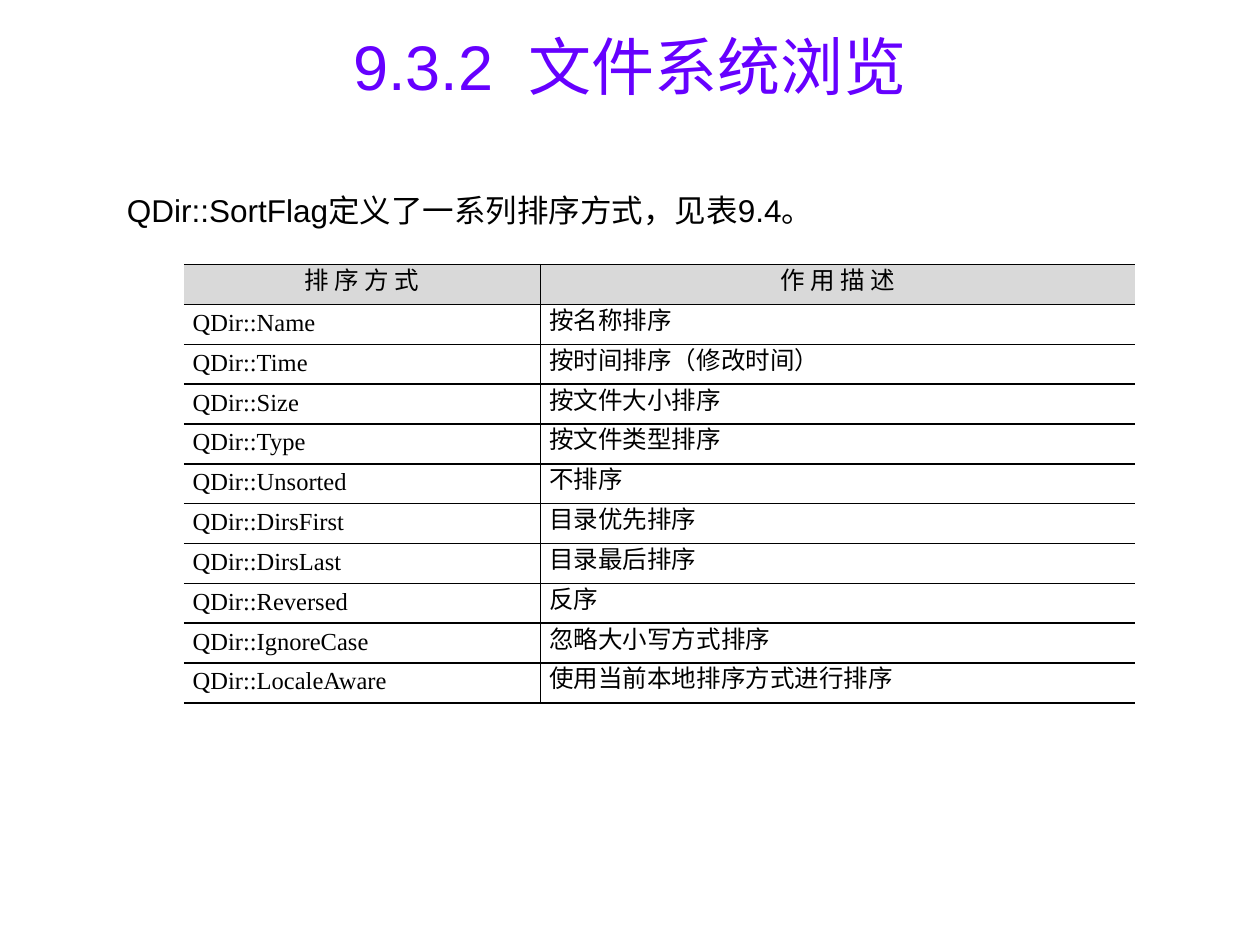
from dataclasses import dataclass

from lxml.etree import SubElement
from pptx import Presentation
from pptx.dml.color import RGBColor
from pptx.enum.text import MSO_ANCHOR, PP_ALIGN
from pptx.oxml.ns import qn
from pptx.util import Inches, Pt


@dataclass(frozen=True)
class Theme:
    """Colours, fonts and type sizes of the slide."""
    title: str = "6600FF"
    ink: str = "000000"
    header: str = "D9D9D9"
    paper: str = "FFFFFF"
    sans: str = "Arial"
    serif: str = "Times New Roman"
    title_size: int = 36
    body_size: int = 18
    table_size: int = 14


THEME = Theme()
ROWS = [
    ("排 序 方 式", "作 用 描 述"),
    ("QDir::Name", "按名称排序"),
    ("QDir::Time", "按时间排序（修改时间）"),
    ("QDir::Size", "按文件大小排序"),
    ("QDir::Type", "按文件类型排序"),
    ("QDir::Unsorted", "不排序"),
    ("QDir::DirsFirst", "目录优先排序"),
    ("QDir::DirsLast", "目录最后排序"),
    ("QDir::Reversed", "反序"),
    ("QDir::IgnoreCase", "忽略大小写方式排序"),
    ("QDir::LocaleAware", "使用当前本地排序方式进行排序"),
]


def set_text(tf, text, font, size, color, align):
    """Write one formatted paragraph and return it."""
    tf.text = text
    p = tf.paragraphs[0]
    p.alignment = align
    for r in p.runs:
        r.font.name = font
        r.font.size = Pt(size)
        r.font.color.rgb = RGBColor.from_string(color)
    return p


def add_title(s, text):
    """Place and format the title placeholder."""
    sp = s.shapes.title
    sp.left, sp.top = Inches(0.33), Inches(0.05)
    sp.width, sp.height = Inches(9.34), Inches(0.94)
    sp.text_frame.vertical_anchor = MSO_ANCHOR.MIDDLE
    set_text(sp.text_frame, text, THEME.sans, THEME.title_size, THEME.title, PP_ALIGN.CENTER)


def add_intro(s, text):
    """Add the sentence above the table."""
    sp = s.shapes.add_textbox(Inches(0.91), Inches(1.47), Inches(6.2), Inches(0.4))
    sp.text_frame.word_wrap = True
    set_text(sp.text_frame, text, THEME.sans, THEME.body_size, THEME.ink, PP_ALIGN.LEFT)


def set_borders(cell, visible):
    """Draw the named sides of a cell and hide the others."""
    tc_pr = cell._tc.get_or_add_tcPr()
    for side in "LRTB":
        ln = SubElement(tc_pr, qn(f"a:ln{side}"), w=str(Pt(1)))
        if side in visible:
            fill = SubElement(ln, qn("a:solidFill"))
            SubElement(fill, qn("a:srgbClr"), val=THEME.ink)
        else:
            SubElement(ln, qn("a:noFill"))


def format_cell(cell, text, is_header, borders):
    """Fill one cell with text, borders and background."""
    align = PP_ALIGN.CENTER if is_header else PP_ALIGN.JUSTIFY
    p = set_text(cell.text_frame, text, THEME.serif, THEME.table_size, THEME.ink, align)
    p.line_spacing = Pt(THEME.table_size)
    cell.vertical_anchor = MSO_ANCHOR.MIDDLE
    cell.margin_left = cell.margin_right = Inches(0.07)
    cell.margin_top = cell.margin_bottom = 0
    set_borders(cell, borders)
    cell.fill.solid()
    cell.fill.fore_color.rgb = RGBColor.from_string(THEME.header if is_header else THEME.paper)


def add_sort_table(s, rows):
    """Add the table of sort flags, open at its left and right."""
    widths = (2.83, 4.72)
    frame = s.shapes.add_table(len(rows), len(widths), Inches(1.46), Inches(2.1),
                               Inches(sum(widths)), Inches(3.48))
    table = frame.table
    table.first_row = table.horz_banding = False
    for column, width in zip(table.columns, widths):
        column.width = Inches(width)
    for i, row in enumerate(rows):
        for j, (text, borders) in enumerate(zip(row, ("RTB", "LTB"))):
            format_cell(table.cell(i, j), text, i == 0, borders)


def main():
    """Build and save the slide."""
    prs = Presentation()
    prs.slide_width, prs.slide_height = Inches(10), Inches(7.5)
    s = prs.slides.add_slide(prs.slide_layouts[5])
    add_title(s, "9.3.2  文件系统浏览")
    add_intro(s, "QDir::SortFlag定义了一系列排序方式，见表9.4。")
    add_sort_table(s, ROWS)
    prs.save("out.pptx")


if __name__ == "__main__":
    main()
